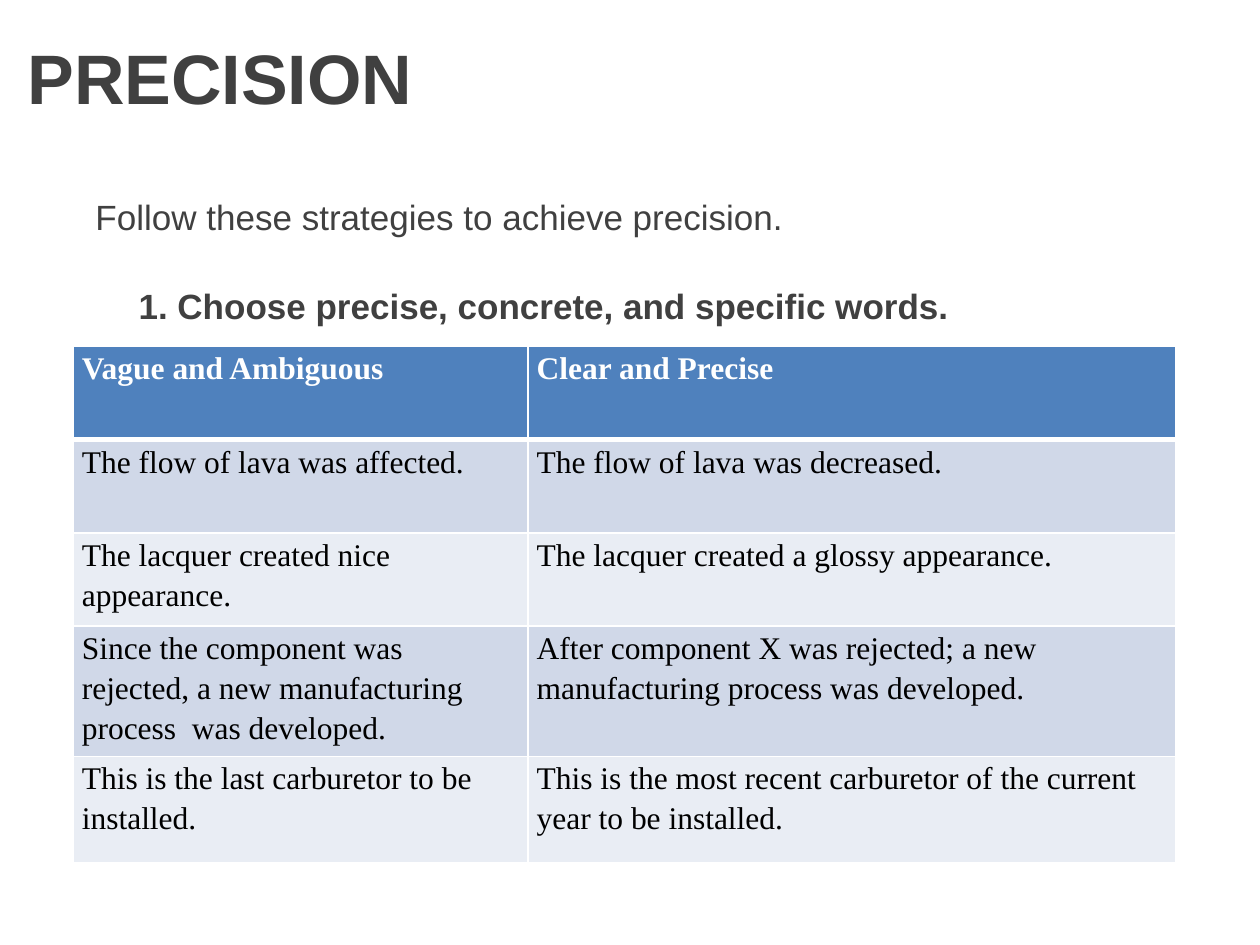
import pptx
import pptx.util
import pptx.dml.color
import pptx.enum.text
import pptx.oxml
import pptx.oxml.ns
from pptx.util import Inches

RGBColor = pptx.dml.color.RGBColor
GRAY = RGBColor(0x40, 0x40, 0x40)
WHITE = RGBColor(0xFF, 0xFF, 0xFF)
BLACK = RGBColor(0, 0, 0)
HEADER_BLUE = RGBColor(0x4F, 0x81, 0xBD)
BANDS = (RGBColor(0xD0, 0xD8, 0xE8), RGBColor(0xE9, 0xED, 0xF4))

MIDDLE = pptx.enum.text.MSO_ANCHOR.MIDDLE
TOP = pptx.enum.text.MSO_ANCHOR.TOP
COLUMN_WIDTHS = (3.61, 5.14)
ROW_HEIGHTS = (0.74, 0.74, 0.74, 0.84, 0.84)
# Each cell is a list of paragraphs
ROWS = [
    (["Vague and Ambiguous"], ["Clear and Precise"]),
    (["The flow of lava was affected."], ["The flow of lava was decreased."]),
    (["The lacquer created nice", "appearance."],
     ["The lacquer created a glossy appearance."]),
    (["Since the component was", "rejected, a new manufacturing",
      "process  was developed."],
     ["After component X was rejected; a new",
      "manufacturing process was developed."]),
    (["This is the last carburetor to be", "installed."],
     ["This is the most recent carburetor of the current",
      "year to be installed."]),
]


def write_text(frame, lines, size=20, font="Arial", color=GRAY, bold=False,
               line_spacing=1.0):
    """Fill a text frame with one left-aligned paragraph per line."""
    for index, line in enumerate(lines):
        para = frame.paragraphs[0] if index == 0 else frame.add_paragraph()
        para.alignment = pptx.enum.text.PP_ALIGN.LEFT
        para.line_spacing = line_spacing
        span = para.add_run()
        span.text = line
        span.font.name = font
        span.font.size = pptx.util.Pt(size)
        span.font.bold = bold
        span.font.color.rgb = color


def place_title(page, left, top, width, height):
    title = page.shapes.title
    title.left, title.top = Inches(left), Inches(top)
    title.width, title.height = Inches(width), Inches(height)
    title.text_frame.vertical_anchor = MIDDLE
    write_text(title.text_frame, ["PRECISION"], size=40, bold=True)


def place_statement(page, left, top, width, height, text, anchor=TOP,
                    indent=0.1, bold=False):
    box = page.shapes.add_textbox(Inches(left), Inches(top),
                                  Inches(width), Inches(height))
    frame = box.text_frame
    frame.word_wrap = True
    frame.vertical_anchor = anchor
    frame.margin_left = Inches(indent)
    write_text(frame, [text], bold=bold)


def set_borders(cell, bottom_points):
    """Draw white cell borders; they must come before the cell fill."""
    properties = cell._tc.get_or_add_tcPr()
    for side, points in (("L", 1), ("R", 1), ("T", 1), ("B", bottom_points)):
        properties.append(pptx.oxml.parse_xml(
            f'<a:ln{side} {pptx.oxml.ns.nsdecls("a")} w="{pptx.util.Pt(points)}">'
            f'<a:solidFill><a:srgbClr val="{WHITE}"/></a:solidFill></a:ln{side}>'))


def place_table(page, left, top):
    table = page.shapes.add_table(
        len(ROWS), len(COLUMN_WIDTHS), Inches(left), Inches(top),
        Inches(sum(COLUMN_WIDTHS)), Inches(sum(ROW_HEIGHTS))).table
    for column, width in zip(table.columns, COLUMN_WIDTHS):
        column.width = Inches(width)
    for row_index, (height, row) in enumerate(zip(ROW_HEIGHTS, ROWS)):
        table.rows[row_index].height = Inches(height)
        header = row_index == 0
        for column_index, lines in enumerate(row):
            cell = table.cell(row_index, column_index)
            cell.margin_left = cell.margin_right = Inches(0.07)
            cell.margin_top = cell.margin_bottom = 0
            set_borders(cell, 3 if header else 1)
            cell.fill.solid()
            cell.fill.fore_color.rgb = (
                HEADER_BLUE if header else BANDS[(row_index - 1) % 2])
            write_text(cell.text_frame, lines, size=18, font="Times New Roman",
                       color=WHITE if header else BLACK, bold=header,
                       line_spacing=1.15)


def main():
    deck = pptx.Presentation()
    deck.slide_width, deck.slide_height = Inches(10), Inches(7.5)
    page = deck.slides.add_slide(deck.slide_layouts.get_by_name("Title Only"))

    # Heading and strategy
    place_title(page, 0.12, 0.02, 9.88, 1.17)
    place_statement(page, 0.66, 1.47, 8.84, 0.5,
                    "Follow these strategies to achieve precision.",
                    anchor=MIDDLE)
    place_statement(page, 0.67, 2.21, 8.84, 0.5,
                    "1. Choose precise, concrete, and specific words.",
                    indent=0.43, bold=True)

    # Word choice comparison
    place_table(page, 0.58, 2.75)
    deck.save("out.pptx")


if __name__ == "__main__":
    main()
